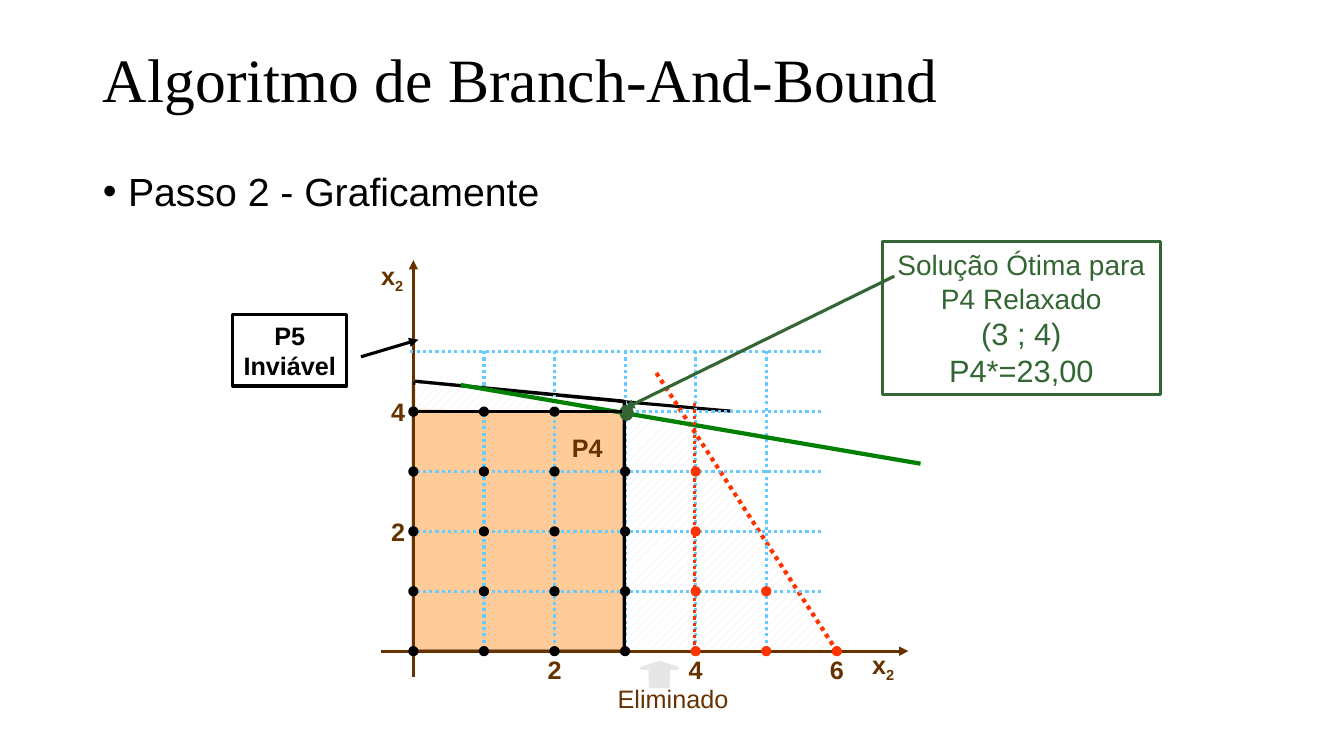
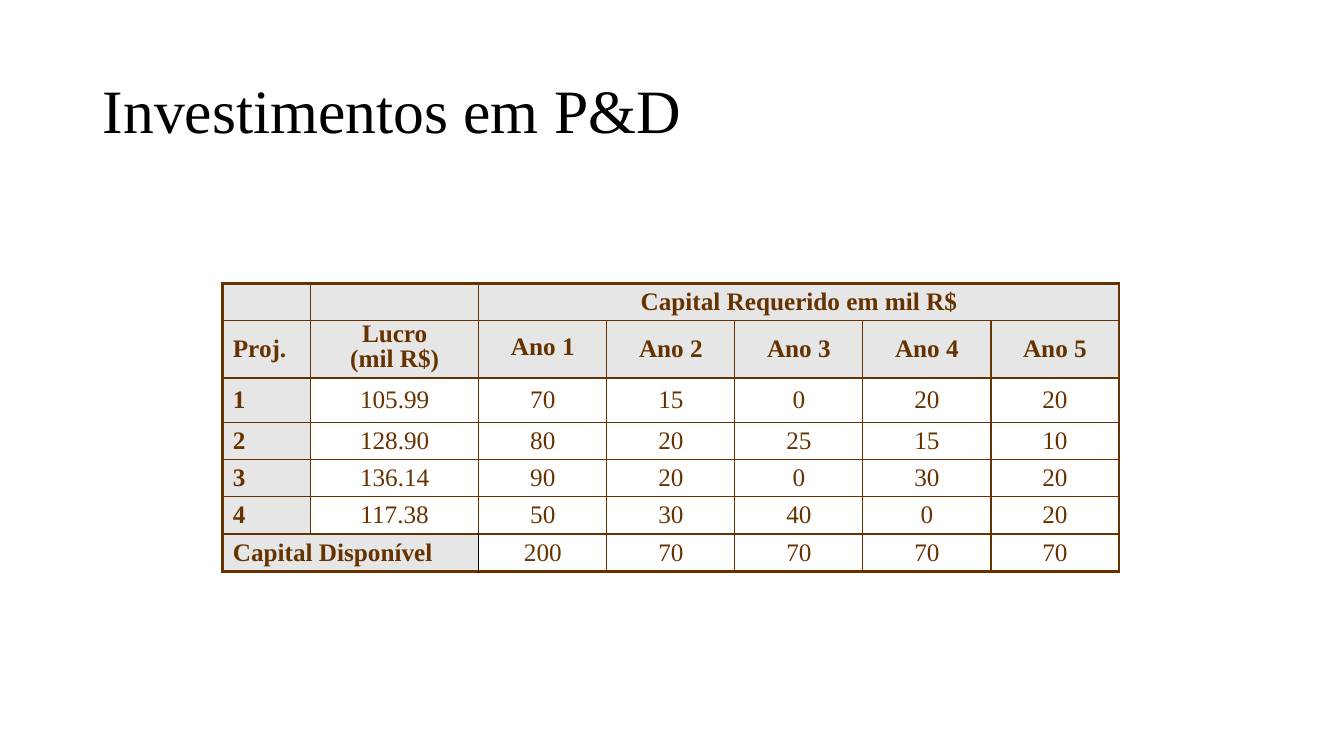
from lxml.etree import SubElement
from pptx import Presentation
from pptx.dml.color import RGBColor
from pptx.enum.dml import MSO_LINE, MSO_PATTERN
from pptx.enum.shapes import MSO_CONNECTOR, MSO_SHAPE
from pptx.enum.text import MSO_ANCHOR, MSO_AUTO_SIZE, PP_ALIGN
from pptx.oxml.ns import qn
from pptx.util import Inches, Pt

BLACK = RGBColor(0x00, 0x00, 0x00)
WHITE = RGBColor(0xFF, 0xFF, 0xFF)
BROWN = RGBColor(0x66, 0x33, 0x00)
ORANGE = RGBColor(0xFF, 0xCC, 0x99)
RED = RGBColor(0xFF, 0x33, 0x00)
BLUE = RGBColor(0x66, 0xCC, 0xFF)
GREEN = RGBColor(0x00, 0x80, 0x00)
MOSS = RGBColor(0x33, 0x66, 0x33)
GRAY = RGBColor(0xE7, 0xE6, 0xE6)
SANS, SERIF = "Arial", "Times New Roman"
TITLE_BOX = (0.92, 0.4, 11.5, 1.45)

# Graph: grid rule, then points in inches on the page
ORIGIN_X, ORIGIN_Y, STEP_X = 4.1, 6.46, 0.7
STEP_Y = (ORIGIN_Y - 3.49) / 5
DOT, AXIS_LABEL = 0.07, (0.34, 0.4)

FEASIBLE = [(4.1, 3.78), (6.19, 3.98), (6.19, 6.46), (4.1, 6.46)]
CUT_MIDDLE = [(6.22, 4), (6.72, 4.03), (6.9, 4.32), (6.9, 6.43), (6.22, 6.43)]
CUT_RIGHT = [(6.91, 4.32), (8.3, 6.46), (6.91, 6.46)]
CUT_TOP = [(6.17, 4), (6.19, 4.1), (4.12, 4.06), (4.12, 3.8)]

# start, end, colour, further format
AXES_AND_LIMITS = [
    ((4.1, 6.72), (4.1, 2.58), BROWN, {"arrow": True}),
    ((3.78, 6.46), (9.01, 6.46), BROWN, {"arrow": True}),
    ((4.1, 3.8), (7.26, 4.08), BLACK, {}),
    ((6.51, 3.7), (8.3, 6.46), RED, {"width": 3, "dotted": True}),
]
P4_EDGE_AND_POINTER = [
    ((6.19, 3.98), (6.19, 6.45), BLACK, {}),
    ((8.87, 2.74), (6.2, 4.05), MOSS, {"arrow": True}),
]
LAST_LINES = [
    ((6.89, 4), (6.89, 6.48), RED, {"dotted": True}),
    ((4.09, 4.08), (6.17, 4.08), BLACK, {}),
    ((3.58, 3.54), (4.15, 3.37), BLACK, {"arrow": True}),
]
# column: number of integer points, counted from the axis
BLACK_DOTS = {0: 5, 1: 5, 2: 5, 3: 5}
RED_DOTS = {4: 4, 5: 2, 6: 1}
# text, subscript, box, bold
LABELS = [
    ("x", "2", (3.67, 2.55, 0.44, 0.4), True),
    ("x", "2", (8.54, 6.41, 0.44, 0.4), True),
    ("Eliminado", "", (6.02, 6.73, 1.31, 0.4), False),
    ("P4", "", (5.57, 4.24, 0.51, 0.4), True),
]
# box, colour, bold, lines with sizes
CALLOUTS = [
    ((8.75, 2.4, 2.76, 1.51), MOSS, False,
     [("Solução Ótima para", 20), ("P4 Relaxado", 20), ("(3 ; 4)", 22), ("P4*=23,00", 22)]),
    ((2.31, 3.12, 1.13, 0.71), BLACK, True, [("P5", 18), ("Inviável", 18)]),
]

# Table
COLUMNS = [0.87, 1.67] + [1.27] * 5
ROWS = [0.37, 0.57, 0.44] + [0.37] * 4
CELLS = [
    ["", "", "Capital Requerido em mil R$", "", "", "", ""],
    ["Proj.", "Lucro\n(mil R$)", "Ano 1", "Ano 2", "Ano 3", "Ano 4", "Ano 5"],
    ["1", "105.99", "70", "15", "0", "20", "20"],
    ["2", "128.90", "80", "20", "25", "15", "10"],
    ["3", "136.14", "90", "20", "0", "30", "20"],
    ["4", "117.38", "50", "30", "40", "0", "20"],
    ["Capital Disponível", "", "200", "70", "70", "70", "70"],
]
MERGES = [((0, 2), (0, 6)), ((6, 0), (6, 1))]
TIGHT_CELLS = [(1, 1), (1, 2)]


def inches(values):
    return [Inches(value) for value in values]


def style_font(font, size, color, name=SANS, bold=False):
    for key, value in {"size": Pt(size), "name": name, "bold": bold}.items():
        setattr(font, key, value)
    font.color.rgb = color


def set_frame(frame, **values):
    for key, value in values.items():
        setattr(frame, key, value)


def place(shape, box):
    for key, value in zip(("left", "top", "width", "height"), inches(box)):
        setattr(shape, key, value)


def add_page(deck, layout, title, **frame_format):
    page = deck.slides.add_slide(deck.slide_layouts[layout])
    box = page.shapes.title
    place(box, TITLE_BOX)
    set_frame(box.text_frame, auto_size=MSO_AUTO_SIZE.NONE, **frame_format)
    para = box.text_frame.paragraphs[0]
    para.alignment, para.line_spacing = PP_ALIGN.LEFT, 0.9
    span = para.add_run()
    span.text = title
    style_font(span.font, 44, BLACK, SERIF)
    return page


def add_line(page, start, end, color, width=2.25, dotted=False, arrow=False):
    line = page.shapes.add_connector(MSO_CONNECTOR.STRAIGHT, *inches(start + end))
    line.line.color.rgb = color
    line.line.width = Pt(width)
    if dotted:
        line.line.dash_style = MSO_LINE.ROUND_DOT
    properties = line._element.spPr
    if arrow:
        SubElement(properties.find(qn("a:ln")), qn("a:tailEnd"), type="triangle")
    SubElement(properties, qn("a:effectLst"))


def add_lines(page, lines):
    for start, end, color, line_format in lines:
        add_line(page, start, end, color, **line_format)


def add_region(page, points, fill=None):
    first, *others = [inches(point) for point in points]
    builder = page.shapes.build_freeform(*first)
    builder.add_line_segments(others, close=True)
    region = builder.convert_to_shape()
    region.shadow.inherit = False
    if fill is None:
        region.fill.patterned()
        region.fill.pattern = MSO_PATTERN.DASHED_UPWARD_DIAGONAL
        region.fill.fore_color.rgb, region.fill.back_color.rgb = GRAY, WHITE
        region.line.fill.background()
    else:
        region.fill.solid()
        region.fill.fore_color.rgb = fill
        region.line.color.rgb, region.line.width = BLACK, Pt(2.25)


def add_figure(page, kind, box, color, filled=True):
    figure = page.shapes.add_shape(kind, *inches(box))
    figure.shadow.inherit = False
    figure.line.color.rgb, figure.line.width = color, Pt(2.25)
    if filled:
        figure.fill.solid()
        figure.fill.fore_color.rgb = color
    else:
        figure.fill.background()
    return figure


def write_centred(shape, lines, color, bold, subscript=""):
    frame = shape.text_frame
    set_frame(frame, word_wrap=False, auto_size=MSO_AUTO_SIZE.SHAPE_TO_FIT_TEXT,
              vertical_anchor=MSO_ANCHOR.MIDDLE)
    for index, (text, size) in enumerate(lines):
        para = frame.add_paragraph() if index else frame.paragraphs[0]
        para.alignment = PP_ALIGN.CENTER
        for part in filter(None, (text, subscript)):
            span = para.add_run()
            span.text = part
            style_font(span.font, size, color, bold=bold)
    if subscript:
        span.font._element.set("baseline", "-25000")


def add_label(page, text, subscript, box, bold):
    write_centred(page.shapes.add_textbox(*inches(box)), [(text, 18)], BROWN, bold, subscript)


def grid_point(column, row):
    return ORIGIN_X + STEP_X * column, ORIGIN_Y - STEP_Y * row


def add_grid(page):
    for row in range(1, 6):
        y = grid_point(0, row)[1]
        add_line(page, (4.07, y), (8.15, y), BLUE, dotted=True)
    for column in range(1, 6):
        x = grid_point(column, 0)[0]
        add_line(page, (x, 6.5), (x, 3.47), BLUE, dotted=True)


def add_dots(page):
    for color, columns in ((BLACK, BLACK_DOTS), (RED, RED_DOTS)):
        for column, count in columns.items():
            for row in range(count):
                x, y = grid_point(column, row)
                add_figure(page, MSO_SHAPE.OVAL, (x - DOT / 2, y - DOT / 2, DOT, DOT), color)


def add_axis_numbers(page):
    width, height = AXIS_LABEL
    for number in (2, 4, 6):
        x, y = grid_point(number, number)
        add_label(page, str(number), "", (x - width / 2, 6.44, width, height), True)
        if number < 6:
            add_label(page, str(number), "", (3.78, y - height / 2, width, height), True)


def build_graph(deck):
    page = add_page(deck, 1, "Algoritmo de Branch-And-Bound",
                    vertical_anchor=MSO_ANCHOR.TOP, margin_top=Inches(0.09))
    body = page.placeholders[1]
    place(body, (0.92, 1.38, 11.5, 4.76))
    body.text_frame.auto_size = MSO_AUTO_SIZE.NONE
    para = body.text_frame.paragraphs[0]
    para.line_spacing, para.space_before = 1.5, Pt(10)
    indent = para._p.get_or_add_pPr()
    indent.set("marL", str(Inches(0.25)))
    indent.set("indent", str(Inches(-0.25)))
    span = para.add_run()
    span.text = "Passo 2 - Graficamente"
    style_font(span.font, 28, BLACK)

    # Regions, axes and grid
    add_region(page, CUT_MIDDLE)
    add_region(page, FEASIBLE, ORANGE)
    add_region(page, CUT_RIGHT)
    add_lines(page, AXES_AND_LIMITS)
    add_grid(page)
    add_axis_numbers(page)

    # Callouts and edges of P4
    for box, color, bold, lines in CALLOUTS:
        callout = add_figure(page, MSO_SHAPE.RECTANGLE, box, color, filled=False)
        write_centred(callout, lines, color, bold)
    add_lines(page, P4_EDGE_AND_POINTER)
    add_region(page, CUT_TOP)
    add_figure(page, MSO_SHAPE.UP_ARROW, (6.36, 6.57, 0.36, 0.24), GRAY).adjustments[1] = 0.25

    # Integer points, objective line and optimum
    add_dots(page)
    add_line(page, (4.57, 3.82), (9.13, 4.6), GREEN, width=3)
    add_figure(page, MSO_SHAPE.OVAL, (6.16, 4.03, 0.11, 0.13), MOSS)
    add_lines(page, LAST_LINES)
    for label in LABELS:
        add_label(page, *label)


def set_borders(cell, row, column):
    end_row = row + (cell.span_height if cell.is_merge_origin else 1)
    end_column = column + (cell.span_width if cell.is_merge_origin else 1)
    outer = {"L": column == 0, "R": end_column == len(COLUMNS),
             "T": row == 0, "B": end_row == len(ROWS)}
    properties = cell._tc.get_or_add_tcPr()
    for index, (side, thick) in enumerate(outer.items()):
        border = SubElement(properties, qn("a:ln" + side), w=str(Pt(2.25 if thick else 1)))
        fill = SubElement(border, qn("a:solidFill"))
        beside_total = row == 6 and (side, end_column) in (("R", 2), ("L", 3))
        SubElement(fill, qn("a:srgbClr"), val=str(BLACK if beside_total else BROWN))
        properties.insert(index, border)


def fill_cell(cell, row, column):
    header = row < 2 or column == 0 or (row == 6 and column == 1)
    cell.fill.solid()
    cell.fill.fore_color.rgb = GRAY if header else WHITE
    set_frame(cell, vertical_anchor=MSO_ANCHOR.MIDDLE, margin_left=Inches(0.1),
              margin_right=Inches(0.1), margin_top=Inches(0.02), margin_bottom=Inches(0.02))
    cell.text_frame.text = CELLS[row][column]
    for para in cell.text_frame.paragraphs:
        para.alignment = PP_ALIGN.CENTER if column else PP_ALIGN.LEFT
        if (row, column) in TIGHT_CELLS:
            para.line_spacing, para.space_before = 0.7, Pt(3.6)
        for span in para.runs:
            style_font(span.font, 18, BROWN, SERIF, header)
    set_borders(cell, row, column)


def build_table(deck):
    page = add_page(deck, 5, "Investimentos em P&D", vertical_anchor=MSO_ANCHOR.MIDDLE)
    box = (2.21, 2.81, sum(COLUMNS), sum(ROWS))
    table = page.shapes.add_table(len(ROWS), len(COLUMNS), *inches(box)).table
    table.first_row = table.horz_banding = False
    for column, width in zip(table.columns, COLUMNS):
        column.width = Inches(width)
    for row, height in zip(table.rows, ROWS):
        row.height = Inches(height)
    for first, last in MERGES:
        table.cell(*first).merge(table.cell(*last))
    for row in range(len(ROWS)):
        for column in range(len(COLUMNS)):
            fill_cell(table.cell(row, column), row, column)


def main():
    deck = Presentation()
    deck.slide_width, deck.slide_height = Inches(13.33), Inches(7.5)
    build_graph(deck)
    build_table(deck)
    deck.save("out.pptx")


if __name__ == "__main__":
    main()
